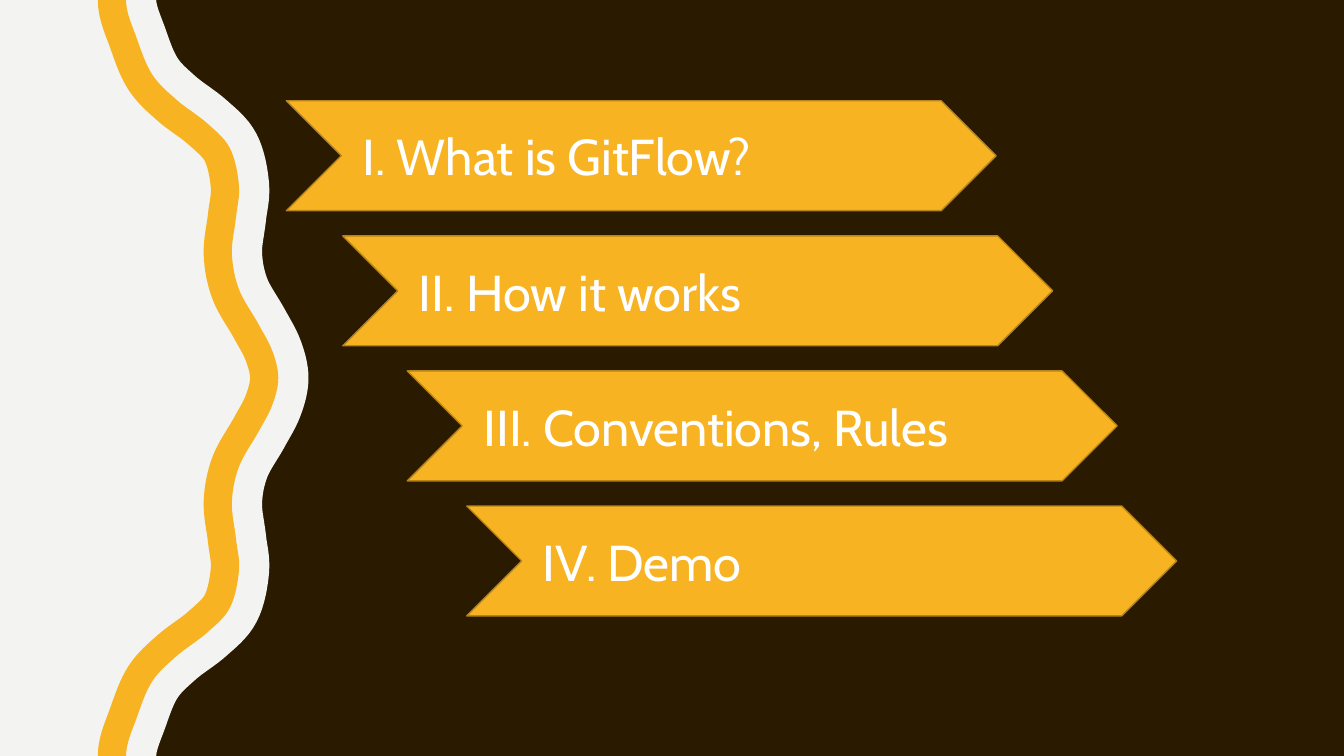
from math import hypot

from pptx import Presentation
from pptx.dml.color import RGBColor
from pptx.enum.shapes import MSO_SHAPE
from pptx.enum.text import MSO_ANCHOR, PP_ALIGN
from pptx.util import Inches, Pt

CHEVRON = MSO_SHAPE.CHEVRON
MIDDLE = MSO_ANCHOR.MIDDLE
LEFT = PP_ALIGN.LEFT

SLIDE_WIDTH, SLIDE_HEIGHT = 13.33, 7.5
BROWN, PAPER, AMBER = "2A1A00", "F3F3F2", "F8B323"
AMBER_EDGE, WHITE = "B7841A", "FFFFFF"

# The ribbon's right edge bends through these knots, from the top to mid-height;
# the lower half mirrors it, and every other wavy edge runs parallel to it.
UPPER_KNOTS = [
    (1.25, 0), (1.36, 0.39), (1.51, 0.74), (1.75, 0.99), (2.05, 1.22),
    (2.28, 1.47), (2.37, 1.84), (2.34, 2.16), (2.3, 2.52), (2.37, 2.87),
    (2.56, 3.21), (2.7, 3.48), (2.76, 3.75),
]
RIBBON_WIDTH = 0.28
PAPER_BORDER = 0.3
CURVE_STEPS = 8

BANNER_WIDTH, BANNER_HEIGHT = 7.04, 1.09
FIRST_BANNER_TOP, BANNER_PITCH = 1, 1.34
AGENDA = [
    ("I. What is GitFlow?", 2.84),
    ("II. How it works", 3.4),
    ("III. Conventions, Rules", 4.04),
    ("IV. Demo", 4.63),
]


def paint(fill, color):
    fill.solid()
    fill.fore_color.rgb = RGBColor.from_string(color)


def parallel_edge(distance):
    """Trace a Catmull-Rom curve through the knots, shifted right along its normal."""
    lower_knots = [(x, SLIDE_HEIGHT - y) for x, y in UPPER_KNOTS[-2::-1]]
    next_x, next_y = UPPER_KNOTS[1]
    # Reflected knots beyond both ends make the curve meet the slide edge upright
    knots = [(next_x, -next_y), *UPPER_KNOTS, *lower_knots,
             (next_x, SLIDE_HEIGHT + next_y)]
    edge = []
    for segment in zip(knots, knots[1:], knots[2:], knots[3:]):
        is_last = segment[3] == knots[-1]
        for step in range(CURVE_STEPS + is_last):
            t = step / CURVE_STEPS
            position, tangent = [], []
            for a, b, c, d in zip(*segment):
                slope = (c - a) / 2
                square = a - 2.5 * b + 2 * c - d / 2
                cube = (3 * (b - c) + d - a) / 2
                position.append(b + slope * t + square * t**2 + cube * t**3)
                tangent.append(slope + 2 * square * t + 3 * cube * t**2)
            (x, y), (dx, dy) = position, tangent
            shift = distance / hypot(dx, dy)
            edge.append((x + shift * dy, y - shift * dx))
    return edge


prs = Presentation()
prs.slide_width = Inches(SLIDE_WIDTH)
prs.slide_height = Inches(SLIDE_HEIGHT)
slide = prs.slides.add_slide(prs.slide_layouts[6])
paint(slide.background.fill, BROWN)

# Wavy paper with the ribbon on top
paper_outline = [(0, 0), *parallel_edge(PAPER_BORDER), (0, SLIDE_HEIGHT)]
ribbon_outline = parallel_edge(0) + parallel_edge(-RIBBON_WIDTH)[::-1]
for outline, color in ((paper_outline, PAPER), (ribbon_outline, AMBER)):
    points = [(Inches(x), Inches(y)) for x, y in outline]
    builder = slide.shapes.build_freeform(*points[0])
    builder.add_line_segments(points[1:], close=True)
    wave = builder.convert_to_shape()
    wave.shadow.inherit = False
    paint(wave.fill, color)
    wave.line.fill.background()

# Agenda banners, stepping down and to the right
for row, (topic, left) in enumerate(AGENDA):
    top = FIRST_BANNER_TOP + BANNER_PITCH * row
    banner = slide.shapes.add_shape(
        CHEVRON, Inches(left), Inches(top),
        Inches(BANNER_WIDTH), Inches(BANNER_HEIGHT))
    banner.shadow.inherit = False
    paint(banner.fill, AMBER)
    paint(banner.line.fill, AMBER_EDGE)
    banner.line.width = Pt(1)

    frame = banner.text_frame
    frame.text = topic
    frame.vertical_anchor = MIDDLE
    frame.margin_left = Inches(0.21)
    paragraph = frame.paragraphs[0]
    paragraph.alignment = LEFT
    font = paragraph.runs[0].font
    font.name = "Cabin"
    font.size = Pt(36)
    paint(font.fill, WHITE)

prs.save("out.pptx")
